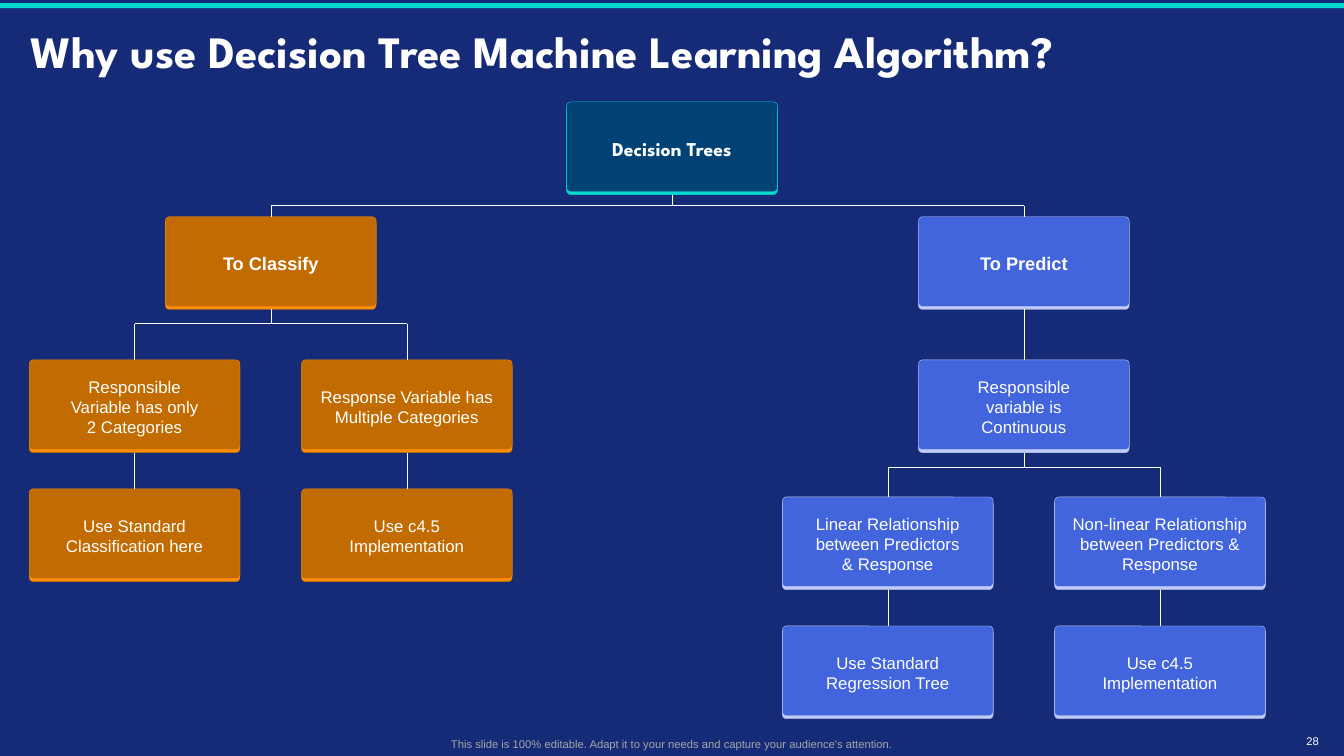
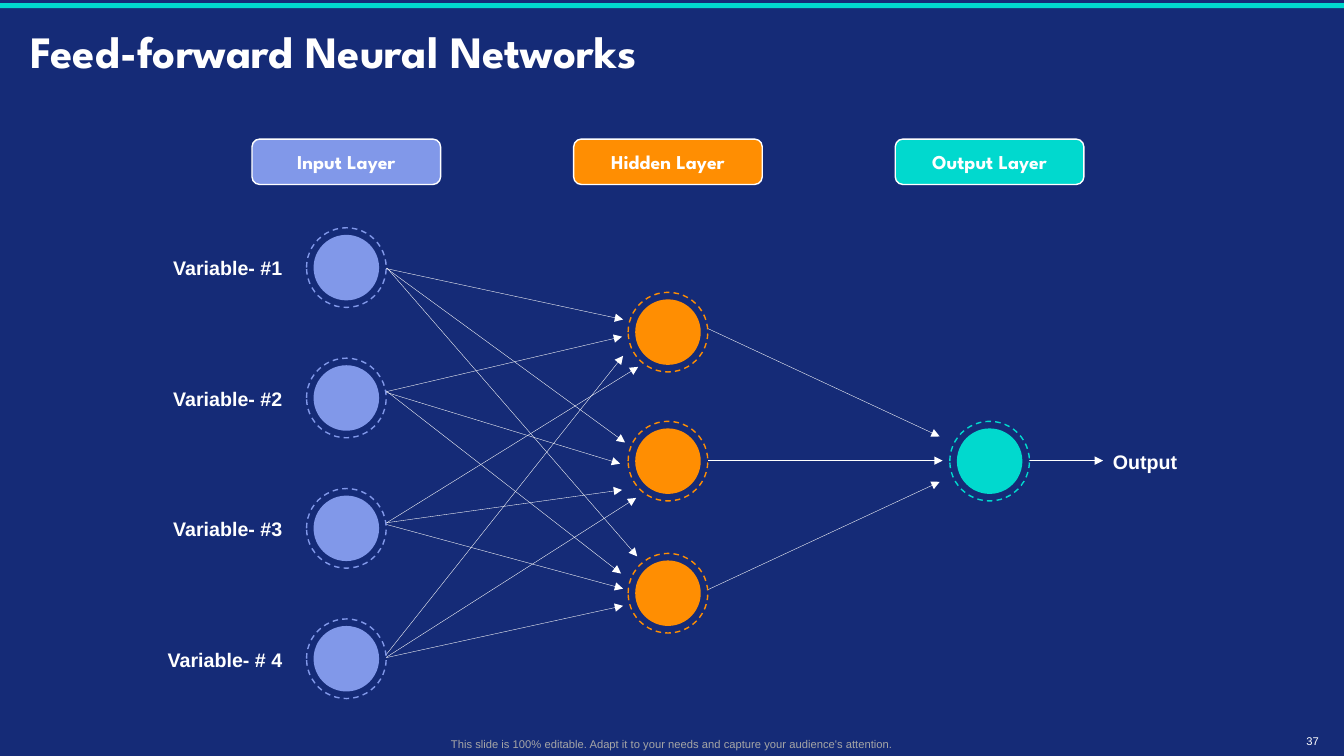
from dataclasses import dataclass

from lxml import etree
from pptx import Presentation
from pptx.dml.color import RGBColor
from pptx.enum.dml import MSO_LINE
from pptx.enum.shapes import MSO_CONNECTOR, MSO_SHAPE
from pptx.enum.text import MSO_ANCHOR, MSO_AUTO_SIZE, PP_ALIGN
from pptx.oxml.ns import qn
from pptx.util import Inches, Pt

RECT, ROUND, OVAL = MSO_SHAPE.RECTANGLE, MSO_SHAPE.ROUNDED_RECTANGLE, MSO_SHAPE.OVAL
LEFT, CENTER, RIGHT = PP_ALIGN.LEFT, PP_ALIGN.CENTER, PP_ALIGN.RIGHT
MIDDLE = MSO_ANCHOR.MIDDLE
STRAIGHT = MSO_CONNECTOR.STRAIGHT
TOP_SIDE, BOTTOM_SIDE = 0, 2

COLORS = {
    "navy": "152B77", "teal": "01D9CE", "deep_teal": "004276",
    "orange": "FF8E02", "brown": "C16B00", "blue": "4265DE",
    "pale_blue": "C0CCF4", "periwinkle": "8198E9",
    "white": "FFFFFF", "gray": "A6A6A6",
}
HEADING_FONT, BODY_FONT = "League Spartan", "Arial"
SLIDE_W, SLIDE_H = 13.33, 7.5
HAIRLINE = 0.25
FOOTER = ("This slide is 100% editable. Adapt it to your needs "
          "and capture your audience's attention.")

CARD_W, CARD_H, LEDGE = 2.09, 0.89, 0.03
LAYER_X, LAYER_STEP = 2.5, 3.19
PILL_W, PILL_H, PILL_TOP = 1.87, 0.45, 1.38
RING, DISC = 0.79, 0.65


@dataclass(frozen=True)
class TextStyle:
    size: float
    font: str = BODY_FONT
    bold: bool = False
    color: str = "white"


@dataclass(frozen=True)
class Palette:
    face: str
    trim: str
    ledge_line: str


@dataclass(frozen=True)
class Card:
    left: float
    top: float
    text: str
    palette: Palette
    style: TextStyle
    text_width: float = 1.56

    @property
    def center(self) -> float:
        return self.left + CARD_W / 2


@dataclass(frozen=True)
class Branch:
    parent: str
    children: tuple
    bus_y: float = 0


@dataclass(frozen=True)
class Layer:
    name: str
    color: str
    node_tops: tuple


TITLE = TextStyle(32, HEADING_FONT, True)
HEADING = TextStyle(14, HEADING_FONT, True)
LABEL = TextStyle(14, bold=True)
GOAL = TextStyle(13, bold=True)
BODY = TextStyle(12)

ROOT = Palette("deep_teal", "teal", "teal")
CLASSIFY = Palette("brown", "orange", "brown")
PREDICT = Palette("blue", "pale_blue", "pale_blue")

CARDS = {
    "root": Card(5.62, 1.01, "Decision Trees", ROOT, HEADING),
    "classify": Card(1.64, 2.15, "To Classify", CLASSIFY, GOAL),
    "two": Card(0.29, 3.57, "Responsible Variable has only 2 Categories", CLASSIFY, BODY),
    "many": Card(2.99, 3.57, "Response Variable has Multiple Categories", CLASSIFY, BODY, 2.07),
    "standard": Card(0.29, 4.85, "Use Standard Classification here", CLASSIFY, BODY, 1.71),
    "c45": Card(2.99, 4.85, "Use c4.5 Implementation", CLASSIFY, BODY),
    "predict": Card(9.11, 2.15, "To Predict", PREDICT, GOAL),
    "continuous": Card(9.11, 3.57, "Responsible variable is Continuous", PREDICT, BODY),
    "linear": Card(7.76, 4.93, "Linear Relationship between Predictors\n& Response",
                   PREDICT, BODY, 1.88),
    "nonlinear": Card(10.46, 4.93, "Non-linear Relationship between Predictors & Response",
                      PREDICT, BODY, 2.07),
    "regression": Card(7.76, 6.21, "Use Standard Regression Tree", PREDICT, BODY),
    "c45_regression": Card(10.46, 6.21, "Use c4.5 Implementation", PREDICT, BODY),
}
BRANCHES = [
    Branch("root", ("classify", "predict"), 2.04),
    Branch("classify", ("two", "many"), 3.21),
    Branch("two", ("standard",)),
    Branch("many", ("c45",)),
    Branch("predict", ("continuous",)),
    Branch("continuous", ("linear", "nonlinear"), 4.63),
    Branch("linear", ("regression",)),
    Branch("nonlinear", ("c45_regression",)),
]

FIRST_INPUT, LAST_INPUT = 2.26, 6.14
VARIABLES = ("Variable- #1", "Variable- #2", "Variable- #3", "Variable- # 4")
INPUT_STEP = (LAST_INPUT - FIRST_INPUT) / (len(VARIABLES) - 1)
INPUT_TOPS = tuple(FIRST_INPUT + i * INPUT_STEP for i in range(len(VARIABLES)))
LAYERS = [
    Layer("Input Layer", "periwinkle", INPUT_TOPS),
    Layer("Hidden Layer", "orange", (2.9, 4.18, 5.49)),
    Layer("Output Layer", "teal", (4.18,)),
]
SIGNALS = [
    # from the first variable
    ((3.81, 2.66), (6.18, 3.17)), ((3.83, 2.66), (6.2, 4.39)), ((3.84, 2.66), (6.32, 5.52)),
    # from the second variable
    ((3.77, 3.9), (6.17, 3.34)), ((3.79, 3.88), (6.15, 4.6)), ((3.73, 3.8), (6.16, 5.69)),
    # from the third variable
    ((3.54, 5.37), (6.33, 3.64)), ((3.52, 5.23), (6.17, 4.86)), ((3.6, 5.14), (6.18, 5.84)),
    # from the fourth variable
    ((3.62, 6.76), (6.18, 3.53)), ((3.66, 6.63), (6.31, 4.94)), ((3.76, 6.54), (6.18, 6.01)),
    # to the output node and out of it
    ((7, 3.25), (9.32, 4.33)), ((7.02, 4.57), (9.35, 4.57)), ((7, 5.86), (9.32, 4.78)),
    ((9.58, 4.57), (10.94, 4.57)),
]


def rgb(name: str) -> RGBColor:
    return RGBColor.from_string(COLORS[name])


def write(frame, text: str, style: TextStyle, align=CENTER) -> None:
    """Fill a text frame, one paragraph for each line of text."""
    frame.word_wrap = True
    frame.auto_size = MSO_AUTO_SIZE.NONE
    frame.vertical_anchor = MIDDLE
    for i, line_text in enumerate(text.split("\n")):
        paragraph = frame.add_paragraph() if i else frame.paragraphs[0]
        paragraph.alignment = align
        run = paragraph.add_run()
        run.text = line_text
        run.font.name = style.font
        run.font.size = Pt(style.size)
        run.font.bold = style.bold
        run.font.color.rgb = rgb(style.color)


def add_label(slide, box: tuple, text: str, style: TextStyle, align=CENTER, inset=0.1) -> None:
    frame = slide.shapes.add_textbox(*map(Inches, box)).text_frame
    frame.margin_left = frame.margin_right = Inches(inset)
    frame.margin_top = frame.margin_bottom = Inches(inset / 2)
    write(frame, text, style, align)


def add_block(slide, preset, box: tuple, fill: str, outline: str = "", width: float = HAIRLINE):
    block = slide.shapes.add_shape(preset, *map(Inches, box))
    block.shadow.inherit = False
    block.fill.solid()
    block.fill.fore_color.rgb = rgb(fill)
    if outline:
        block.line.color.rgb = rgb(outline)
        block.line.width = Pt(width)
    else:
        block.line.fill.background()
    return block


def add_line(slide, start: tuple, end: tuple, arrow: bool = False):
    line = slide.shapes.add_connector(STRAIGHT, *map(Inches, start + end))
    line.line.color.rgb = rgb("white")
    line.line.width = Pt(HAIRLINE)
    if arrow:
        etree.SubElement(line.line._get_or_add_ln(), qn("a:tailEnd"), type="triangle")
    etree.SubElement(line._element.spPr, qn("a:effectLst"))
    return line


def start_slide(prs, title: str, number: int):
    """Add a slide with the shared band, title, page number and footer."""
    slide = prs.slides.add_slide(prs.slide_layouts.get_by_name("Title Only"))
    add_block(slide, RECT, (0, 0.03, SLIDE_W, 0.05), "teal")
    heading = slide.shapes.title
    heading.left, heading.top = Inches(0.2), Inches(0.1)
    heading.width, heading.height = Inches(12.93), Inches(0.88)
    write(heading.text_frame, title, TITLE, LEFT)
    heading.text_frame.paragraphs[0].line_spacing = 0.9
    add_label(slide, (12.82, 7.28, 0.4, 0.14), str(number), TextStyle(8), inset=0)
    add_label(slide, (0.62, 7.26, 12.09, 0.24), FOOTER, TextStyle(8, color="gray"))
    return slide


def add_card(slide, card: Card) -> tuple:
    """Draw a card and return its face and the ledge under it."""
    palette = card.palette
    ledge = add_block(slide, ROUND, (card.left, card.top + LEDGE, CARD_W, CARD_H),
                      palette.trim, palette.ledge_line)
    face = add_block(slide, ROUND, (card.left, card.top, CARD_W, CARD_H),
                     palette.face, palette.trim)
    ledge.adjustments[0] = face.adjustments[0] = 0.045
    frame = face.text_frame
    frame.margin_left = frame.margin_right = Inches((CARD_W - card.text_width) / 2 + 0.09)
    frame.margin_top, frame.margin_bottom = Inches(0.04), 0
    write(frame, card.text, card.style)
    return face, ledge


def add_branch(slide, branch: Branch, drawn: dict) -> None:
    """Join a parent card to its children, over a crossbar if there are several."""
    parent = CARDS[branch.parent]
    children = [CARDS[key] for key in branch.children]
    stem_end = branch.bus_y or children[0].top
    stem = add_line(slide, (parent.center, parent.top + CARD_H + LEDGE),
                    (parent.center, stem_end))
    stem.begin_connect(drawn[branch.parent][1], BOTTOM_SIDE)
    if len(children) == 1:
        stem.end_connect(drawn[branch.children[0]][0], TOP_SIDE)
        return
    add_line(slide, (children[0].center, branch.bus_y), (children[-1].center, branch.bus_y))
    for key, child in zip(branch.children, children):
        drop = add_line(slide, (child.center, branch.bus_y), (child.center, child.top))
        drop.end_connect(drawn[key][0], TOP_SIDE)


def add_node(slide, left: float, top: float, color: str) -> None:
    ring = add_block(slide, OVAL, (left, top, RING, RING), "navy", color, 1)
    ring.line.dash_style = MSO_LINE.DASH
    gap = (RING - DISC) / 2
    add_block(slide, OVAL, (left + gap, top + gap, DISC, DISC), color)


def build_decision_tree(prs) -> None:
    slide = start_slide(prs, "Why use Decision Tree Machine Learning Algorithm?", 28)
    drawn = {key: add_card(slide, card) for key, card in CARDS.items()}
    for branch in BRANCHES:
        add_branch(slide, branch, drawn)


def build_neural_network(prs) -> None:
    slide = start_slide(prs, "Feed-forward Neural Networks", 37)
    for start, end in SIGNALS:
        add_line(slide, start, end, arrow=True)
    for i, layer in enumerate(LAYERS):
        left = LAYER_X + i * LAYER_STEP
        pill = add_block(slide, ROUND, (left, PILL_TOP, PILL_W, PILL_H), layer.color, "white", 1)
        write(pill.text_frame, layer.name, HEADING)
        for top in layer.node_tops:
            add_node(slide, left + (PILL_W - RING) / 2, top, layer.color)
    for variable, top in zip(VARIABLES, INPUT_TOPS):
        add_label(slide, (1.5, top + 0.23, 1.4, 0.34), variable, LABEL, RIGHT)
    add_label(slide, (10.94, 4.41, 1, 0.34), "Output", LABEL, LEFT)


def main() -> None:
    prs = Presentation()
    prs.slide_width, prs.slide_height = Inches(SLIDE_W), Inches(SLIDE_H)
    backdrop = prs.slide_master.background.fill
    backdrop.solid()
    backdrop.fore_color.rgb = rgb("navy")
    build_decision_tree(prs)
    build_neural_network(prs)
    prs.save("out.pptx")


if __name__ == "__main__":
    main()
